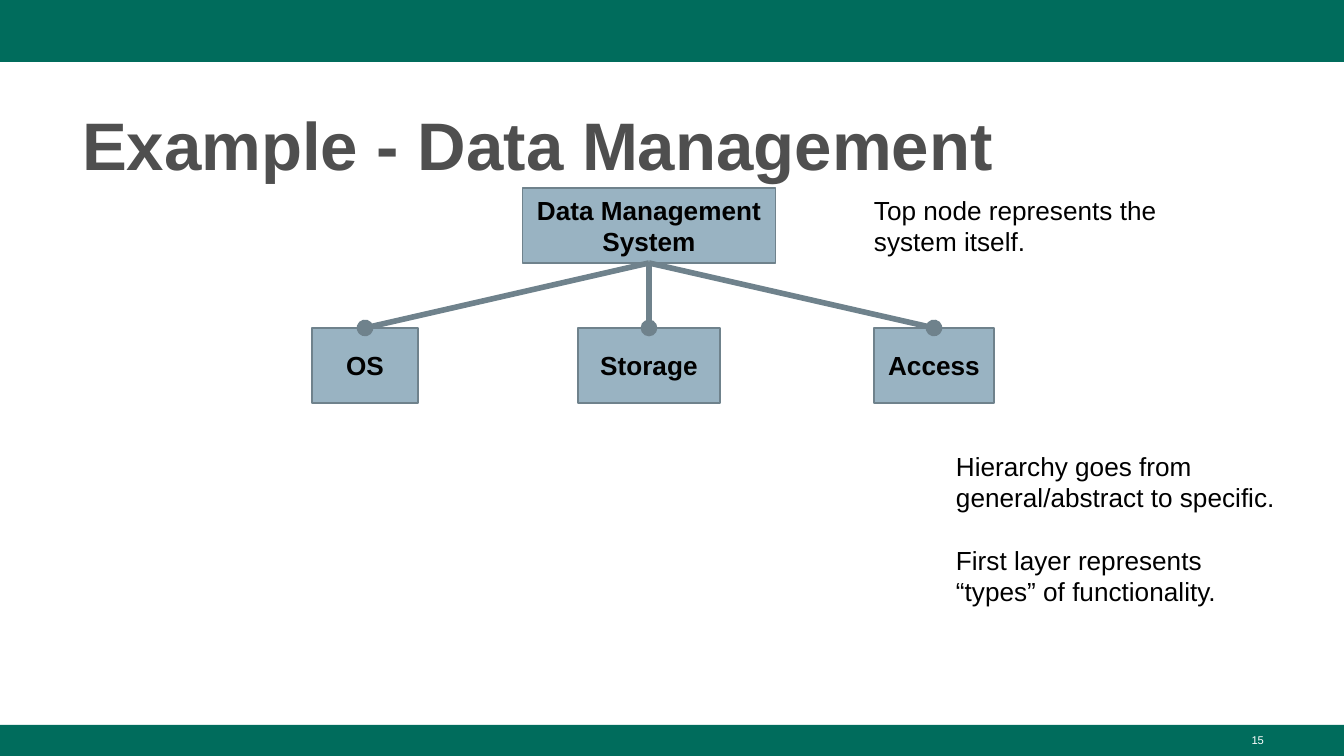
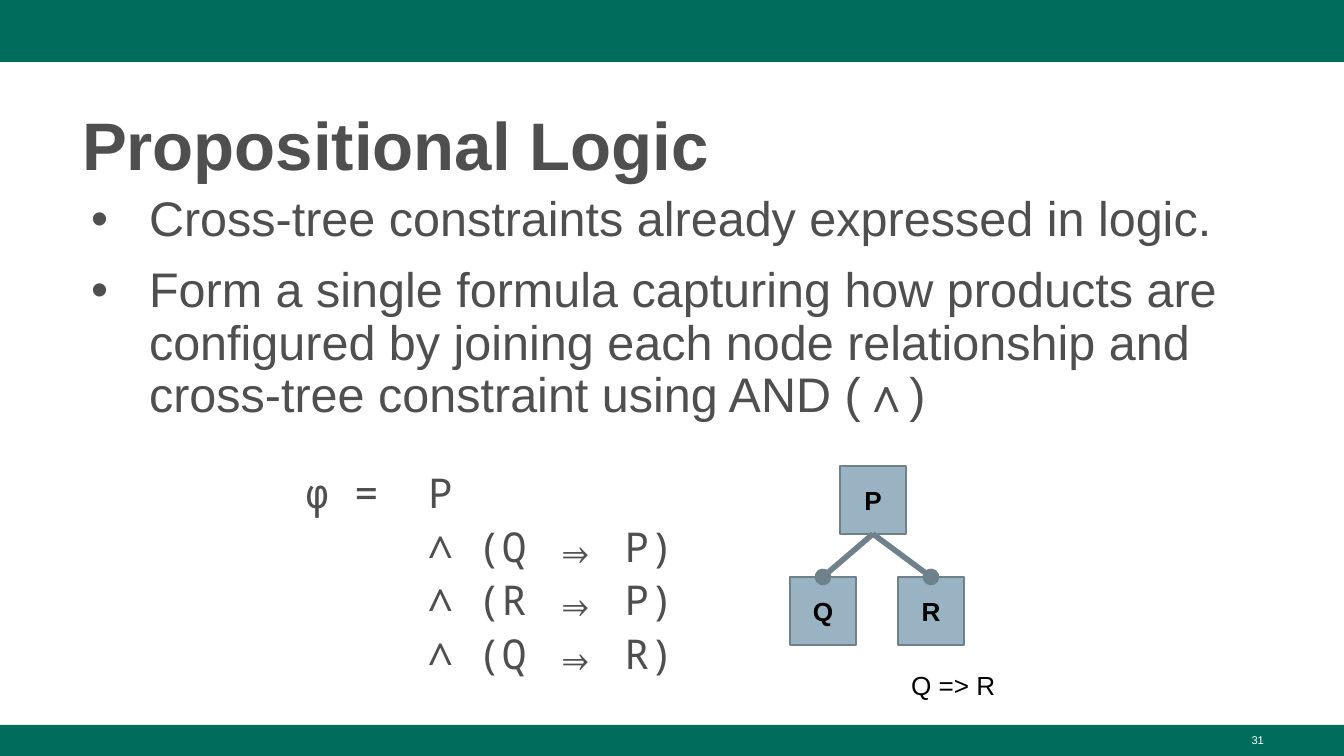
from lxml.etree import SubElement
from pptx import Presentation
from pptx.dml.color import RGBColor
from pptx.enum.shapes import MSO_CONNECTOR as Conn, MSO_SHAPE as Shape
from pptx.enum.text import MSO_ANCHOR as Anchor, MSO_AUTO_SIZE as Fit, PP_ALIGN as Align
from pptx.oxml.ns import qn
from pptx.util import Pt

PX = 914400 / 134.4
WIDE, HIGH = 1344, 756
GREEN = RGBColor(0x00, 0x6C, 0x5C)
GREY = RGBColor(0x4F, 0x4F, 0x4F)
BLUE = RGBColor(0x99, 0xB3, 0xC2)
SLATE = RGBColor(0x6F, 0x82, 0x8C)
BLACK = RGBColor(0, 0, 0)
WHITE = RGBColor(255, 255, 255)
SANS, MONO = "Arial", "Noto Sans Mono"

BANDS = [(0, 0, WIDE, 62), (0, 725, WIDE, 31)]
PAGE = (964, 726, 313, 31)
TITLE = (69, 90, 1208, 98)
BODY = (69, 188, 1208, 294)
TAB = 123

SLIDES = [
    {
        "title": "Example - Data Management",
        "page": "15",
        "root": ("Data Management System", 649, 188, 253, 75),
        "kids": [
            ("OS", 365, 328, 106, 75),
            ("Storage", 649, 328, 142, 75),
            ("Access", 934, 328, 120, 75),
        ],
        "notes": [
            ((861, 181, 352, 90), ["Top node represents the system itself."]),
            ((943, 437, 352, 185), [
                "Hierarchy goes from general/abstract to specific.",
                "First layer represents “types” of functionality.",
            ]),
        ],
    },
    {
        "title": "Propositional Logic",
        "page": "31",
        "list": [
            "Cross-tree constraints already expressed in logic.",
            "Form a single formula capturing how products are configured by "
            "joining each node relationship and cross-tree constraint using AND (∧)",
        ],
        "root": ("P", 873, 466, 66, 68),
        "kids": [("Q", 823, 577, 66, 68), ("R", 931, 577, 66, 68)],
        "notes": [((898, 656, 128, 59), ["Q => R"])],
        "logic": ((292, 460, 513, 235), [
            "φ =\tP", "\t∧ (Q ⇒ P)", "\t∧ (R ⇒ P)", "\t∧ (Q ⇒ R)",
        ]),
    },
]


def px(n):
    return round(n * PX)


def place(shape, box):
    shape.left, shape.top, shape.width, shape.height = map(px, box)


def write(shape, lines, size, color, name=SANS, bold=False, align=Align.LEFT,
          anchor=Anchor.TOP, pad=(13, 13), lead=1.0, gap=0, prep=None):
    frame = shape.text_frame
    frame.word_wrap = True
    frame.auto_size = Fit.NONE
    frame.vertical_anchor = anchor
    frame.margin_left = frame.margin_right = px(pad[0])
    frame.margin_top = frame.margin_bottom = px(pad[1])
    for i, line in enumerate(lines):
        para = frame.paragraphs[0] if i == 0 else frame.add_paragraph()
        para.text = line
        para.alignment = align
        para.line_spacing = lead
        para.space_before = Pt(gap if i else 0)
        para.space_after = Pt(0)
        if prep:
            prep(para)
        font = para.font
        font.name, font.size, font.bold = name, Pt(size), bold
        font.color.rgb = color


def bullet(para):
    props = para._p.get_or_add_pPr()
    props.set("marL", str(px(67)))
    props.set("indent", str(px(-58)))
    tint = SubElement(props, qn("a:buClr"))
    SubElement(tint, qn("a:srgbClr"), val=str(GREY))
    SubElement(props, qn("a:buFont"), typeface=SANS)
    SubElement(props, qn("a:buChar"), char="•")


def tab(para):
    stops = SubElement(para._p.get_or_add_pPr(), qn("a:tabLst"))
    SubElement(stops, qn("a:tab"), pos=str(px(TAB)), algn="l")


def rect(slide, box, fill, edge=None):
    shape = slide.shapes.add_shape(Shape.RECTANGLE, *map(px, box))
    shape.shadow.inherit = False
    shape.fill.solid()
    shape.fill.fore_color.rgb = fill
    if edge is None:
        shape.line.fill.background()
    else:
        shape.line.color.rgb = edge
        shape.line.width = Pt(0.75)
    return shape


def label(slide, box, lines, size, color, **style):
    write(slide.shapes.add_textbox(*map(px, box)), lines, size, color, **style)


def node(slide, text, mid, top, wide, high):
    shape = rect(slide, (mid - wide / 2, top, wide, high), BLUE, SLATE)
    write(shape, [text], 14, BLACK, bold=True, align=Align.CENTER, anchor=Anchor.MIDDLE)
    return shape


def link(slide, root, kid):
    line = slide.shapes.add_connector(Conn.STRAIGHT, 0, 0, 0, 0)
    line.begin_connect(root, 2)
    line.end_connect(kid, 0)
    line.line.color.rgb = SLATE
    line.line.width = Pt(3)
    SubElement(line.line._get_or_add_ln(), qn("a:tailEnd"), type="oval")
    SubElement(line._element.spPr, qn("a:effectLst"))


def build(deck, data):
    slide = deck.slides.add_slide(deck.slide_layouts[1 if "list" in data else 5])
    for band in BANDS:
        rect(slide, band, GREEN)
    label(slide, PAGE, [data["page"]], 6, WHITE, align=Align.RIGHT, pad=(13, 7))
    title = slide.shapes.title
    place(title, TITLE)
    write(title, [data["title"]], 36, GREY, bold=True, pad=(13, 7), lead=1.08)
    if "list" in data:
        body = slide.placeholders[1]
        place(body, BODY)
        write(body, data["list"], 26, GREY, pad=(13, 7), lead=0.9, gap=10, prep=bullet)
    root = node(slide, *data["root"])
    kids = [node(slide, *kid) for kid in data["kids"]]
    for kid in kids:
        link(slide, root, kid)
    for box, lines in data["notes"]:
        label(slide, box, lines, 14, BLACK, gap=17)
    if "logic" in data:
        box, lines = data["logic"]
        label(slide, box, lines, 22, GREY, name=MONO, lead=0.9, gap=5, prep=tab)


def main():
    deck = Presentation()
    deck.slide_width, deck.slide_height = px(WIDE), px(HIGH)
    for data in SLIDES:
        build(deck, data)
    deck.save("out.pptx")


if __name__ == "__main__":
    main()
